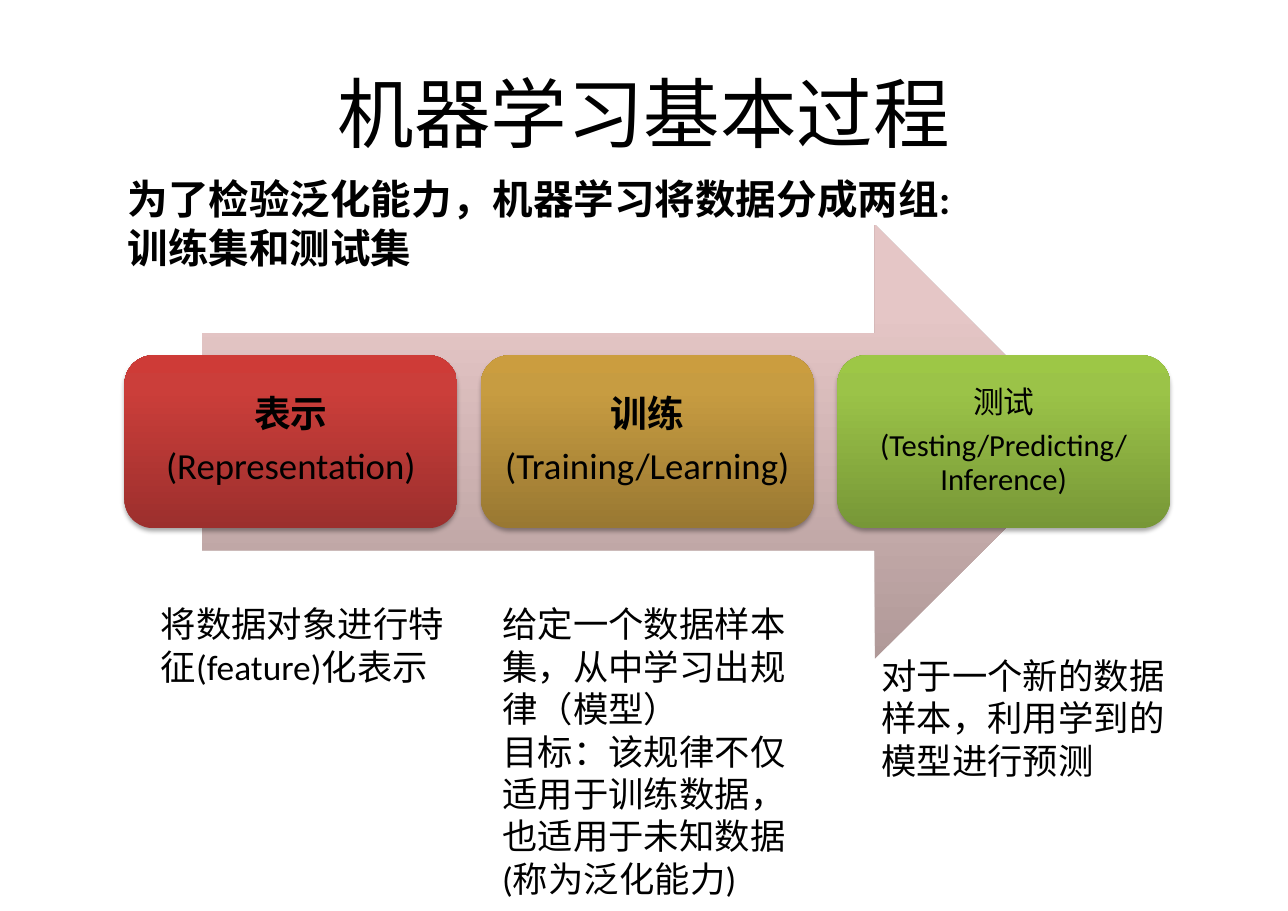
from copy import deepcopy
from lxml.etree import SubElement as Sub
from pptx import Presentation
from pptx.dml.color import RGBColor
from pptx.enum.shapes import MSO_SHAPE as Kind
from pptx.enum.text import MSO_ANCHOR as Anchor, PP_ALIGN as Align
from pptx.oxml.ns import qn
from pptx.util import Inches, Pt

FONT = "Calibri"
INK = "000000"
ARROW = ("B09998", "E5C6C6", "E6C7C6")

# heading lines, text size, heading bold, inset, gradient from the foot up
CARDS = [
    (("表示", "(Representation)"), 24, True, 0.1,
     ("9C2F2D", "CB3E3A", "CE3B37")),
    (("训练", "(Training/Learning)"), 24, True, 0.1,
     ("997832", "C79C41", "CB9D3F")),
    (("测试", "(Testing/Predicting/Inference)"), 20, False, 0.08,
     ("779737", "9BC348", "9DC746")),
]
# left, top, height, lines
NOTES = [
    (1.36, 5.42, 1.27, ["将数据对象进行特征(feature)化表示"]),
    (4.46, 5.42, 2.83, ["给定一个数据样本集，从中学习出规律（模型）",
                        "目标：该规律不仅适用于训练数据，"
                        "也适用于未知数据(称为泛化能力)"]),
    (7.9, 5.89, 1.27, ["对于一个新的数据样本，利用学到的模型进行预测"]),
]
LEAD = ["为了检验泛化能力，机器学习将数据分成两组:", "训练集和测试集"]


def color(code):
    """Turn a hex string into a colour."""
    return RGBColor.from_string(code)


def place(box):
    """Turn a box of inches into lengths."""
    return [Inches(side) for side in box]


def write(frame, lines, size, bolds, align=Align.LEFT, tight=False):
    """Fill a text frame, one paragraph for each line."""
    frame.word_wrap = True
    for i, (line, bold) in enumerate(zip(lines, bolds)):
        para = frame.add_paragraph() if i else frame.paragraphs[0]
        para.alignment = align
        if tight:
            para.line_spacing = 0.9
            para.space_after = Pt(size * 0.35)
        run = para.add_run()
        run.text = line
        run.font.name = FONT
        run.font.size = Pt(size)
        run.font.bold = bold
        run.font.color.rgb = color(INK)


def inset(frame, side, end):
    """Set the margins of a text frame."""
    frame.margin_left = frame.margin_right = Inches(side)
    frame.margin_top = frame.margin_bottom = Inches(end)


def shade(shape, codes):
    """Fill a shape with three colours from the foot up, without a line."""
    shape.shadow.inherit = False
    shape.line.fill.background()
    fill = shape.fill
    fill.gradient()
    fill.gradient_angle = 90
    stops = fill.gradient_stops
    last = shape._element.spPr.find(".//" + qn("a:gsLst"))[-1]
    last.addprevious(deepcopy(last))
    stops = fill.gradient_stops
    for stop, code, pos in zip(stops, codes, (0, 0.8, 1)):
        stop.color.rgb = color(code)
        stop.position = pos


def drop(shape):
    """Give a shape a soft shadow below it."""
    effects = shape._element.spPr.find(qn("a:effectLst"))
    outer = Sub(effects, qn("a:outerShdw"), blurRad=str(Pt(3.1)),
                dist=str(Pt(1.8)), dir="5400000", rotWithShape="0")
    tone = Sub(outer, qn("a:srgbClr"), val=INK)
    Sub(tone, qn("a:alpha"), val="35000")


def add_text(slide, box, lines, size, bold=False):
    """Place a plain text box."""
    frame = slide.shapes.add_textbox(*place(box)).text_frame
    write(frame, lines, size, [bold] * len(lines))


def add_title(slide, box):
    """Place the centred title."""
    frame = slide.shapes.add_textbox(*place(box)).text_frame
    frame.vertical_anchor = Anchor.MIDDLE
    inset(frame, 0.11, 0.06)
    write(frame, ["机器学习基本过程"], 50, [False], Align.CENTER)


def add_card(slide, box, lines, size, bold, pad, codes):
    """Place one step as a rounded card."""
    card = slide.shapes.add_shape(Kind.ROUNDED_RECTANGLE, *place(box))
    shade(card, codes)
    drop(card)
    frame = card.text_frame
    frame.vertical_anchor = Anchor.MIDDLE
    inset(frame, pad, pad)
    write(frame, lines, size, (bold, False), Align.CENTER, tight=True)


def add_flow(slide, box):
    """Place the wide arrow and the row of cards across it."""
    left, top, width, height = box
    wide, tall = 3.02, 1.57
    arrow = (left + 0.7, top, 8.08, height)
    shade(slide.shapes.add_shape(Kind.RIGHT_ARROW, *place(arrow)), ARROW)
    step = (width - wide) / (len(CARDS) - 1)
    for i, card in enumerate(CARDS):
        spot = (left + i * step, top + (height - tall) / 2, wide, tall)
        add_card(slide, spot, *card)


def build():
    """Build the slide and save it."""
    deck = Presentation()
    deck.slide_width, deck.slide_height = Inches(11.69), Inches(8.27)
    slide = deck.slides.add_slide(deck.slide_layouts[6])
    add_title(slide, (0.58, 0.33, 10.53, 1.38))
    add_flow(slide, (1.13, 2.04, 9.49, 3.94))
    for left, top, height, lines in NOTES:
        add_text(slide, (left, top, 2.83, height), lines, 23.1)
    add_text(slide, (1.06, 1.53, 9.82, 0.99), LEAD, 26.5, bold=True)
    deck.save("out.pptx")


build()
